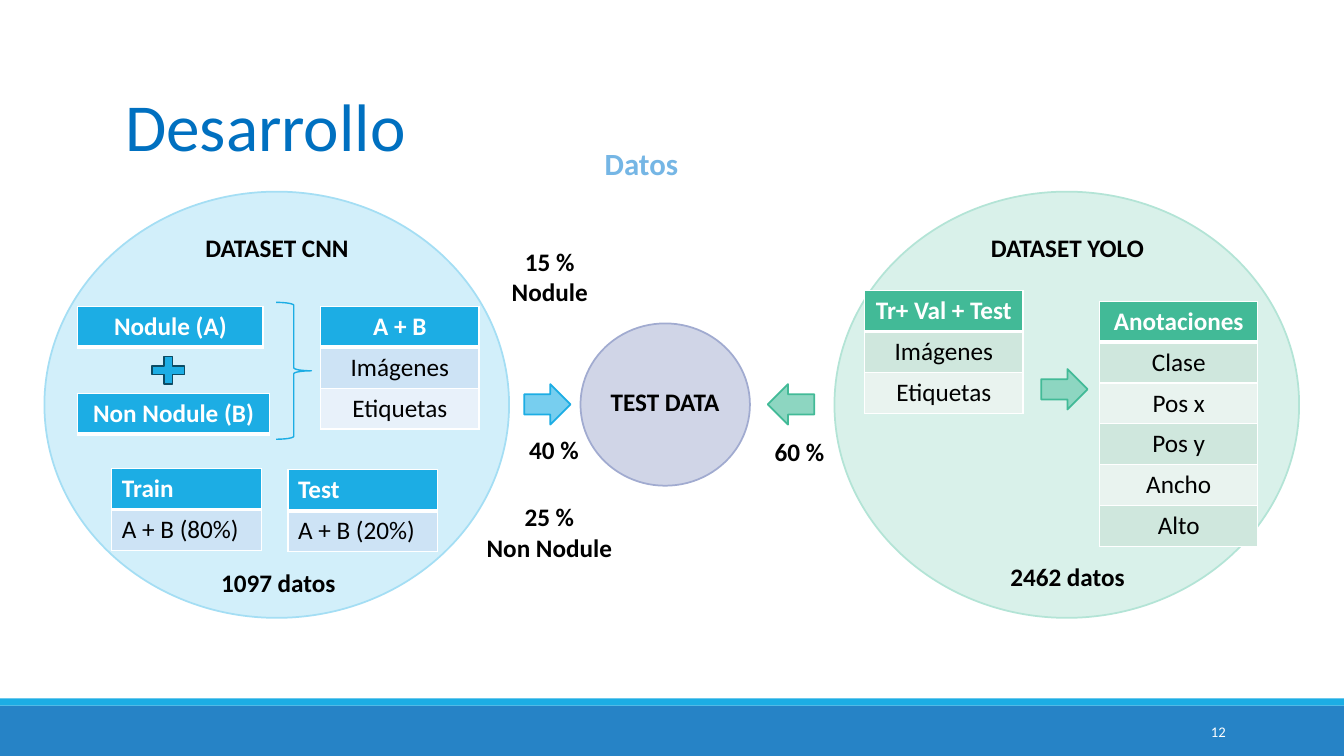
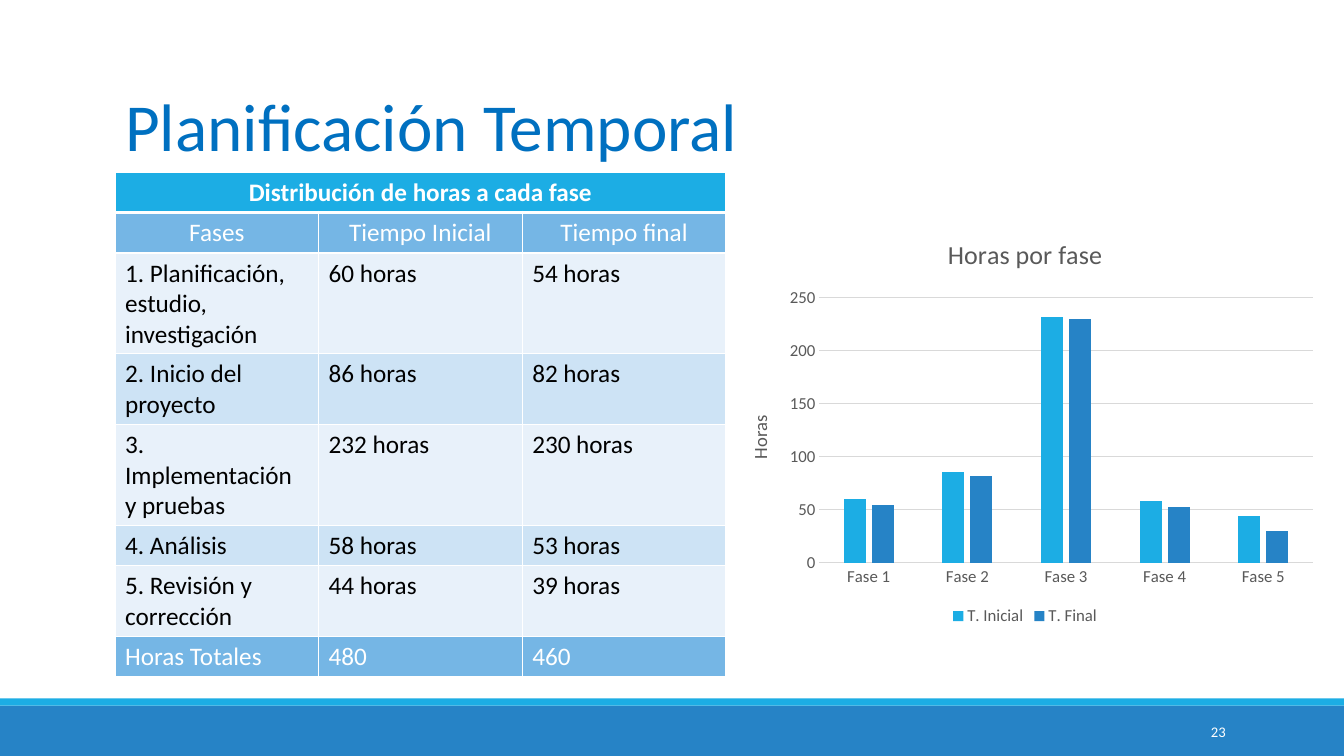
import pptx
import pptx.chart.data
import pptx.dml.color
import pptx.enum.chart
import pptx.enum.shapes
import pptx.enum.text
import pptx.oxml
import pptx.oxml.ns
import pptx.util

Cm, Pt = pptx.util.Cm, pptx.util.Pt
RGB = pptx.dml.color.RGBColor
SHAPE = pptx.enum.shapes.MSO_SHAPE
ALIGN = pptx.enum.text.PP_ALIGN
ANCHOR = pptx.enum.text.MSO_ANCHOR

FONT = "Calibri"
WHITE, BLACK = RGB(0xFF, 0xFF, 0xFF), RGB(0, 0, 0)
GREY, RULE = RGB(0x59, 0x59, 0x59), RGB(0xD9, 0xD9, 0xD9)
TITLE_BLUE = RGB(0x00, 0x70, 0xC0)
BLUE, SKY, SOFT_BLUE = RGB(0x26, 0x83, 0xC6), RGB(0x1C, 0xAD, 0xE4), RGB(0x75, 0xB6, 0xE5)
NAVY, SKY_ARROW = RGB(0x0C, 0x4C, 0x64), RGB(0x77, 0xCE, 0xEF)
SKY_PALE, SKY_EDGE = RGB(0xD2, 0xEF, 0xFA), RGB(0xA4, 0xDE, 0xF4)
GREEN, GREEN_ARROW = RGB(0x42, 0xBA, 0x97), RGB(0x8D, 0xD6, 0xC1)
GREEN_PALE, GREEN_EDGE = RGB(0xD9, 0xF1, 0xEA), RGB(0xB3, 0xE4, 0xD6)
LILAC, LILAC_EDGE = RGB(0xD0, 0xD5, 0xE7), RGB(0xA1, 0xAB, 0xD0)
BLUE_ROWS = (RGB(0xCD, 0xE3, 0xF5), RGB(0xE8, 0xF1, 0xFA))
GREEN_ROWS = (RGB(0xCF, 0xE7, 0xDD), RGB(0xE9, 0xF3, 0xEF))

# All places are (left, top, width, height) in centimetres.
SLIDE_WIDTH, SLIDE_HEIGHT = 33.87, 19.05
TITLE_PLACE = (2.9, 2.01, 26.54, 2.31)
NUMBER_PLACE = (27.51, 17.93, 3.63, 1.02)
BANDS = [
    ((0, 17.78, SLIDE_WIDTH, 1.27), BLUE),
    ((0, 17.6, SLIDE_WIDTH, 0.18), SKY),
]
ROW_HEIGHT = 1.03
LINE_HEIGHT, CELL_PADDING = 0.76, 0.25

DATA_SHAPES = [
    (SHAPE.OVAL, (1.12, 4.83, 11.71, 10.74), SKY_PALE, SKY_EDGE, 1.25),
    (SHAPE.OVAL, (21.03, 4.83, 11.71, 10.74), GREEN_PALE, GREEN_EDGE, 1.25),
    (SHAPE.OVAL, (14.63, 8.15, 4.27, 4.09), LILAC, LILAC_EDGE, 1.25),
    (SHAPE.RIGHT_ARROW, (13.21, 9.68, 1.17, 1.02), SKY_ARROW, SKY, 1.25),
    (SHAPE.LEFT_ARROW, (19.35, 9.68, 1.17, 1.02), GREEN_ARROW, GREEN, 1.25),
    (SHAPE.RIGHT_ARROW, (26.24, 9.3, 1.17, 1.02), GREEN_ARROW, GREEN, 1.25),
    (SHAPE.RIGHT_BRACE, (6.96, 7.62, 0.89, 3.45), None, SKY, 1),
    (SHAPE.MATH_PLUS, (3.68, 8.86, 1.12, 0.94), SKY, NAVY, 1.25),
]
DATA_LABELS = [
    ("DATASET CNN", (4.62, 5.72, 4.72, 1.02)),
    ("DATASET YOLO", (24.54, 5.72, 4.72, 1.02)),
    ("TEST DATA", (14.4, 9.6, 4.72, 1.02)),
    ("60 %", (19.02, 10.87, 2.26, 1.02)),
    ("40 %", (12.83, 10.82, 2.26, 1.02)),
    ("15 %\nNodule", (12.47, 6.07, 2.77, 1.8)),
    ("25 %\nNon Nodule", (11.71, 12.52, 4.27, 1.8)),
    ("1097 datos", (4.88, 14.17, 4.27, 1.02)),
    ("2462 datos", (24.77, 14.02, 4.27, 1.02)),
]
# Left, top, width, header colour, row colours, alignment, texts
DATA_TABLES = [
    (1.96, 7.72, 4.67, SKY, BLUE_ROWS, ALIGN.CENTER, ["Nodule (A)"]),
    (1.96, 9.91, 4.83, SKY, BLUE_ROWS, ALIGN.CENTER, ["Non Nodule (B)"]),
    (8.08, 7.72, 3.99, SKY, BLUE_ROWS, ALIGN.CENTER, ["A + B", "Imágenes", "Etiquetas"]),
    (2.82, 11.81, 3.76, SKY, BLUE_ROWS, ALIGN.LEFT, ["Train", "A + B (80%)"]),
    (7.26, 11.84, 3.76, SKY, BLUE_ROWS, ALIGN.LEFT, ["Test", "A + B (20%)"]),
    (21.79, 7.32, 3.99, GREEN, GREEN_ROWS, ALIGN.CENTER,
     ["Tr+ Val + Test", "Imágenes", "Etiquetas"]),
    (27.71, 7.59, 3.99, GREEN, GREEN_ROWS, ALIGN.CENTER,
     ["Anotaciones", "Clase", "Pos x", "Pos y", "Ancho", "Alto"]),
]

# Number of text lines, then the cells of the row
HOURS = [
    (1, ("Distribución de horas a cada fase", "", "")),
    (1, ("Fases", "Tiempo Inicial", "Tiempo final")),
    (3, ("1. Planificación, estudio, investigación", "60 horas", "54 horas")),
    (2, ("2. Inicio del proyecto", "86 horas", "82 horas")),
    (3, ("3. Implementación y pruebas", "232 horas", "230 horas")),
    (1, ("4. Análisis", "58 horas", "53 horas")),
    (2, ("5. Revisión y corrección", "44 horas", "39 horas")),
    (1, ("Horas Totales", "480", "460")),
]
HOURS_LEFT, HOURS_TOP, HOURS_COLUMN = 2.9, 4.34, 5.13
CHART_PLACE = (18.29, 5.49, 15.09, 10.39)
PHASES = ["Fase 1", "Fase 2", "Fase 3", "Fase 4", "Fase 5"]
CHART_SERIES = [
    ("T. Inicial", (60, 86, 232, 58, 44), SKY),
    ("T. Final", (54, 82, 230, 53, 30), BLUE),
]


def cm(place):
    return [Cm(length) for length in place]


def set_font(font, size, color, bold=False):
    font.name, font.size, font.bold = FONT, Pt(size), bold
    font.color.rgb = color


def write(frame, text, size=18, color=BLACK, bold=False, align=ALIGN.LEFT):
    frame.text = text
    for para in frame.paragraphs:
        para.alignment = align
        for span in para.runs:
            set_font(span.font, size, color, bold)


def add_label(page, text, place, anchor=ANCHOR.TOP, **text_format):
    frame = page.shapes.add_textbox(*cm(place)).text_frame
    frame.word_wrap = True
    frame.vertical_anchor = anchor
    write(frame, text, **text_format)


def add_figure(page, kind, place, fill=None, line=None, width=1.25):
    shape = page.shapes.add_shape(kind, *cm(place))
    shape.shadow.inherit = False
    if fill is None:
        shape.fill.background()
    else:
        shape.fill.solid()
        shape.fill.fore_color.rgb = fill
    if line is None:
        shape.line.fill.background()
    else:
        shape.line.color.rgb = line
        shape.line.width = Pt(width)
    return shape


def add_grid(page, left, top, column_widths, row_heights):
    place = (left, top, sum(column_widths), sum(row_heights))
    table = page.shapes.add_table(len(row_heights), len(column_widths), *cm(place)).table
    table.first_row = table.horz_banding = False
    for column, width in zip(table.columns, column_widths):
        column.width = Cm(width)
    for row, height in zip(table.rows, row_heights):
        row.height = Cm(height)
    return table


def fill_cell(table, row, column, text, fill, **text_format):
    """Write a cell with white borders; the first row has a thick lower one."""
    cell = table.cell(row, column)
    widths = {"L": 1, "R": 1, "T": 1, "B": 1}
    if row == 0:
        widths["B"] = 3
    else:
        del widths["T"]
    properties = cell._tc.get_or_add_tcPr()
    for side, width in widths.items():
        properties.append(pptx.oxml.parse_xml(
            f'<a:ln{side} {pptx.oxml.ns.nsdecls("a")} w="{Pt(width)}"><a:solidFill>'
            f'<a:srgbClr val="{WHITE}"/></a:solidFill></a:ln{side}>'))
    cell.fill.solid()
    cell.fill.fore_color.rgb = fill
    write(cell.text_frame, text, **text_format)


def prepare_layout(deck):
    """Place the title and put the bottom bands on the layout of all slides."""
    layout = deck.slide_layouts.get_by_name("Title Only")
    title = layout.placeholders[0]
    title.left, title.top, title.width, title.height = cm(TITLE_PLACE)
    draft = deck.slides.add_slide(layout)
    for index, (place, color) in enumerate(BANDS):
        band = add_figure(draft, SHAPE.RECTANGLE, place, fill=color)
        layout.shapes._spTree.insert(2 + index, band._element)
    return layout, draft


def fill_frame(page, title, number):
    frame = page.shapes.title.text_frame
    frame.auto_size = pptx.enum.text.MSO_AUTO_SIZE.NONE
    frame.vertical_anchor = ANCHOR.TOP
    write(frame, title, size=48, color=TITLE_BLUE)
    add_label(page, number, NUMBER_PLACE, anchor=ANCHOR.MIDDLE,
              size=10.5, color=WHITE, align=ALIGN.RIGHT)


def build_data_page(page):
    fill_frame(page, "Desarrollo", "12")
    add_label(page, "Datos", (14.99, 3.51, 2.36, 1.19), size=22, color=SOFT_BLUE, bold=True)
    for figure in DATA_SHAPES:
        add_figure(page, *figure)
    for text, place in DATA_LABELS:
        add_label(page, text, place, bold=True, align=ALIGN.CENTER)
    for left, top, width, header, row_colors, align, texts in DATA_TABLES:
        table = add_grid(page, left, top, [width], [ROW_HEIGHT] * len(texts))
        for row, text in enumerate(texts):
            is_header = row == 0
            fill_cell(table, row, 0, text, header if is_header else row_colors[(row - 1) % 2],
                      color=WHITE if is_header else BLACK, bold=is_header, align=align)


def add_hours_table(page):
    heights = [lines * LINE_HEIGHT + CELL_PADDING for lines, _ in HOURS]
    table = add_grid(page, HOURS_LEFT, HOURS_TOP, [HOURS_COLUMN] * 3, heights)
    last = len(HOURS) - 1
    accents = {0: SKY, 1: SOFT_BLUE, last: SOFT_BLUE}
    for row, (_, texts) in enumerate(HOURS):
        for column, text in enumerate(texts):
            fill_cell(table, row, column, text, accents.get(row, BLUE_ROWS[(row - 1) % 2]),
                      color=WHITE if row in accents else BLACK, bold=row == 0,
                      align=ALIGN.CENTER if row < 2 else ALIGN.LEFT)
    table.cell(0, 0).merge(table.cell(0, 2))


def add_hours_chart(page):
    data = pptx.chart.data.CategoryChartData()
    data.categories = PHASES
    for name, values, _ in CHART_SERIES:
        data.add_series(name, values)
    kind = pptx.enum.chart.XL_CHART_TYPE.COLUMN_CLUSTERED
    chart = page.shapes.add_chart(kind, *cm(CHART_PLACE), data).chart
    set_font(chart.font, 12, GREY)
    write(chart.chart_title.text_frame, "Horas por fase", size=18.6, color=GREY,
          align=ALIGN.CENTER)
    chart.chart_title.include_in_layout = False
    chart.has_legend = True
    chart.legend.position = pptx.enum.chart.XL_LEGEND_POSITION.BOTTOM
    chart.legend.include_in_layout = False
    set_font(chart.legend.font, 12, GREY)

    plot = chart.plots[0]
    plot.vary_by_categories = False
    plot.gap_width, plot.overlap = 219, -27
    for series, (_, _, color) in zip(plot.series, CHART_SERIES):
        series.format.fill.solid()
        series.format.fill.fore_color.rgb = color

    phases, hours = chart.category_axis, chart.value_axis
    for axis in (phases, hours):
        axis.major_tick_mark = pptx.enum.chart.XL_TICK_MARK.NONE
        set_font(axis.tick_labels.font, 12, GREY)
    hours.minimum_scale, hours.maximum_scale, hours.major_unit = 0, 250, 50
    hours.format.line.fill.background()
    for line in (phases.format.line, hours.major_gridlines.format.line):
        line.color.rgb = RULE
        line.width = Pt(0.75)
    write(hours.axis_title.text_frame, "Horas", size=13.3, color=GREY, align=ALIGN.CENTER)


def build_schedule_page(page):
    fill_frame(page, "Planificación Temporal", "23")
    add_hours_table(page)
    add_hours_chart(page)


def main():
    deck = pptx.Presentation()
    deck.slide_width, deck.slide_height = Cm(SLIDE_WIDTH), Cm(SLIDE_HEIGHT)
    layout, first_page = prepare_layout(deck)
    build_data_page(first_page)
    build_schedule_page(deck.slides.add_slide(layout))
    deck.save("out.pptx")


if __name__ == "__main__":
    main()
